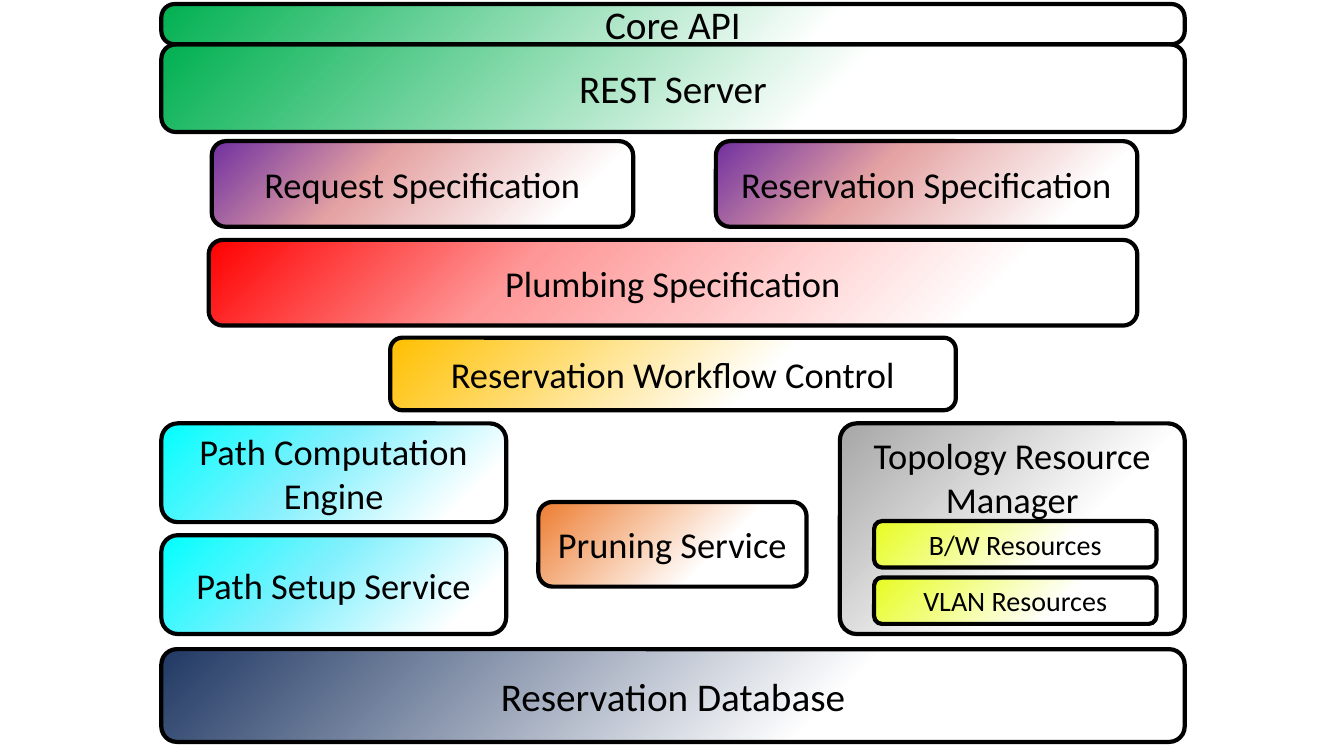
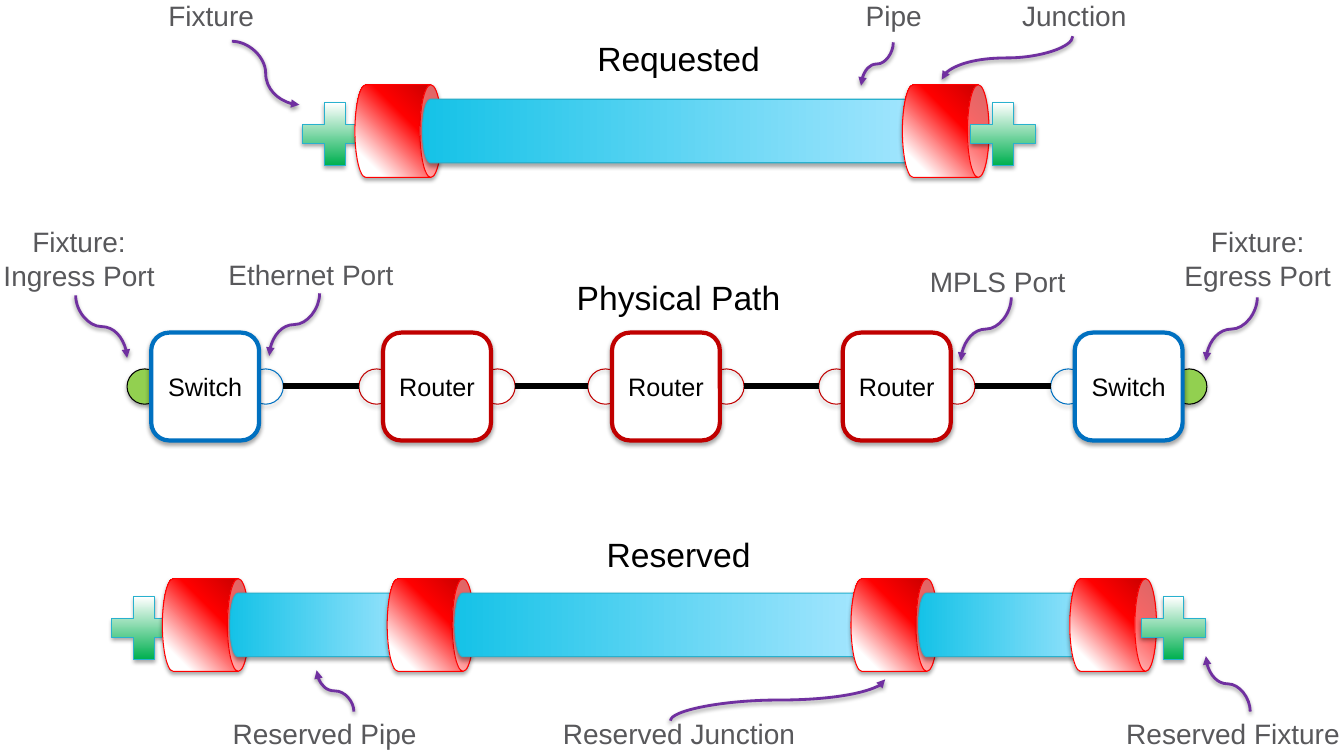
import pptx
import pptx.dml.color
import pptx.enum.shapes
import pptx.enum.text
import pptx.oxml
import pptx.oxml.ns
import pptx.util

Inches = pptx.util.Inches
SHAPE = pptx.enum.shapes.MSO_SHAPE
CONNECTOR = pptx.enum.shapes.MSO_CONNECTOR
ANCHOR = pptx.enum.text.MSO_ANCHOR
BLANK_LAYOUT = 6

COLORS = {
    "black": "000000", "white": "FFFFFF", "gray": "58585B", "silver": "A6A6A6",
    "green": "00B050", "lime": "92D050", "yellow": "E7FC20", "gold": "FFC000",
    "orange": "ED7D31", "red": "FF0000", "dark_red": "C00000", "pink": "FE9898",
    "rose": "E5A3A3", "purple": "7030A0", "navy": "203864", "blue": "0070C0",
    "cyan": "00FFFF", "pale_cyan": "82F0FD", "teal": "28B1CE",
    "aqua": "15C2E7", "sky": "A8E7FF",
}

# Gradients: (position in percent, colour) stops
JUNCTION_STOPS = [(0, "dark_red"), (38, "red"), (84, "white")]
PIPE_STOPS = [(0, "aqua"), (100, "sky")]
FIXTURE_STOPS = [(0, "green"), (100, "white")]
CYAN_STOPS = [(14, "white"), (56, "pale_cyan"), (100, "cyan")]
SPEC_STOPS = [(16, "white"), (62, "rose"), (100, "purple")]
PLUMBING_STOPS = [(17, "white"), (66, "pink"), (100, "red")]

# Path geometry
JUNCTION_LENGTH, JUNCTION_DIAMETER = 0.86, 0.92
PIPE_OFFSET, PIPE_DIAMETER = 0.67, 0.63
NODE_SIZE, NODE_TOP = 1.07, 3.3
PORT_SIZE, PORT_TOP = 0.35, 3.66
PORT_LEFT, PORT_RIGHT = -0.24, 0.96


def rgb(name):
    return pptx.dml.color.RGBColor.from_string(COLORS[name])


def fade(color, start=35):
    return [(0, "white"), (start, "white"), (100, color)]


def drawing_xml(tag, attributes="", content=""):
    namespace = pptx.oxml.ns.nsdecls("a")
    return pptx.oxml.parse_xml(f"<a:{tag} {namespace} {attributes}>{content}</a:{tag}>")


def color_xml(name, content=""):
    return f'<a:srgbClr val="{COLORS[name]}">{content}</a:srgbClr>'


def fill_gradient(shape, stops, angle):
    """Fill with colour stops; the angle runs counter-clockwise."""
    shape.fill.gradient()
    shape.fill.gradient_angle = angle
    stop_list = shape._element.spPr.find(".//" + pptx.oxml.ns.qn("a:gsLst"))
    for stop in list(stop_list):
        stop_list.remove(stop)
    for position, color in stops:
        stop_list.append(drawing_xml("gs", f'pos="{position * 1000}"', color_xml(color)))


def add_shadow(effects, alpha, distance):
    attributes = (f'blurRad="{pptx.util.Pt(3.1)}" dist="{pptx.util.Pt(distance)}" '
                  'dir="5400000" rotWithShape="0"')
    shade = color_xml("black", f'<a:alpha val="{alpha * 1000}"/>')
    effects.append(drawing_xml("outerShdw", attributes, shade))


def write_text(shape, text, anchor=ANCHOR.MIDDLE, **font_format):
    frame = shape.text_frame
    frame.word_wrap = True
    frame.vertical_anchor = anchor
    para = frame.paragraphs[0]
    para.alignment = pptx.enum.text.PP_ALIGN.CENTER
    span = para.add_run()
    span.text = text
    span.font.color.rgb = rgb(font_format.pop("color", "black"))
    for name, value in font_format.items():
        setattr(span.font, name, value)


def add_outlined(slide, kind, at, line, width=0.75, shadow=False):
    shape = slide.shapes.add_shape(kind, *(Inches(length) for length in at))
    shape.shadow.inherit = False
    if shadow:
        effects = shape._element.spPr.find(pptx.oxml.ns.qn("a:effectLst"))
        add_shadow(effects, 35, 1.8)
    shape.line.color.rgb = rgb(line)
    shape.line.width = pptx.util.Pt(width)
    return shape


# Layer diagram
def add_layer(slide, text, at, stops, size=26, anchor=ANCHOR.MIDDLE, corner=None):
    box = add_outlined(slide, SHAPE.ROUNDED_RECTANGLE, at, "black", 3)
    if corner is not None:
        box.adjustments[0] = corner
    fill_gradient(box, stops, 135)
    write_text(box, text, anchor, name="Calibri", size=pptx.util.Pt(size))


# Path diagram
def add_label(slide, text, at, size=20, color="gray"):
    box = slide.shapes.add_textbox(*(Inches(length) for length in at))
    write_text(box, text, ANCHOR.TOP, name="Arial", size=pptx.util.Pt(size), color=color)
    box.text_frame.auto_size = pptx.enum.text.MSO_AUTO_SIZE.SHAPE_TO_FIT_TEXT


def add_line(slide, kind, start, end, color, width):
    line = slide.shapes.add_connector(kind, *(Inches(length) for length in (*start, *end)))
    line.line.color.rgb = rgb(color)
    line.line.width = pptx.util.Pt(width)
    effects = drawing_xml("effectLst")
    line._element.spPr.append(effects)
    return line, effects


def add_pointer(slide, start, end, vertical=True):
    """Curved arrow; a vertical one is a horizontal curve given a quarter turn."""
    (x1, y1), (x2, y2) = start, end
    turn = 0
    if vertical:
        turn = 270 if (x2 - x1) * (y2 - y1) > 0 else 90
        sign = 1 if turn == 90 else -1
        middle_x, middle_y = (x1 + x2) / 2, (y1 + y2) / 2
        half_x, half_y = sign * (x2 - x1) / 2, sign * (y2 - y1) / 2
        start = middle_x - half_y, middle_y + half_x
        end = middle_x + half_y, middle_y - half_x
    arrow, effects = add_line(slide, CONNECTOR.CURVE, start, end, "purple", 2)
    add_shadow(effects, 38, 1.6)
    arrow.line._get_or_add_ln().append(drawing_xml("tailEnd", 'type="triangle"'))
    if turn:
        frame = arrow._element.spPr.find(pptx.oxml.ns.qn("a:xfrm"))
        frame.set("rot", str(turn * 60000))


def add_can(slide, left, middle, length, diameter, stops, angle, line):
    """Can lying on its side, placed by its visible left end and axis."""
    at = (left + (length - diameter) / 2, middle - length / 2, diameter, length)
    can = add_outlined(slide, SHAPE.CAN, at, line, shadow=True)
    can.rotation = 90
    fill_gradient(can, stops, angle)


def add_fixture(slide, left, middle):
    plus = add_outlined(slide, SHAPE.CROSS, (left, middle - 0.28, 0.64, 0.62), "teal", shadow=True)
    plus.adjustments[0] = 0.35
    fill_gradient(plus, FIXTURE_STOPS, 90)


def add_pipeline(slide, middle, fixtures, junctions, pipes):
    add_fixture(slide, fixtures[0], middle)
    for index, left in enumerate(junctions):
        add_can(slide, left, middle, JUNCTION_LENGTH, JUNCTION_DIAMETER,
                JUNCTION_STOPS, 315, "red")
        if index < len(pipes):
            add_can(slide, left + PIPE_OFFSET, middle, pipes[index], PIPE_DIAMETER,
                    PIPE_STOPS, 90, "teal")
    add_fixture(slide, fixtures[1], middle)


def add_port(slide, left, color, edge=False):
    port = add_outlined(slide, SHAPE.OVAL, (left, PORT_TOP, PORT_SIZE, PORT_SIZE),
                        "black" if edge else color, shadow=True)
    if edge:
        port.fill.solid()
        port.fill.fore_color.rgb = rgb("lime")
    else:
        port.fill.background()


def add_physical_path(slide, nodes):
    last = len(nodes) - 1
    for index, (text, left, color) in enumerate(nodes):
        add_port(slide, left + PORT_LEFT, color, edge=index == 0)
        add_port(slide, left + PORT_RIGHT, color, edge=index == last)
        node = add_outlined(slide, SHAPE.ROUNDED_RECTANGLE,
                            (left, NODE_TOP, NODE_SIZE, NODE_SIZE), color, 3, shadow=True)
        node.fill.solid()
        node.fill.fore_color.rgb = rgb("white")
        write_text(node, text, name="Arial", size=pptx.util.Pt(18))
    # Links between facing ports
    for (_, left, _), (_, right, _) in zip(nodes, nodes[1:]):
        add_line(slide, CONNECTOR.STRAIGHT, (left + PORT_RIGHT + PORT_SIZE, 3.83),
                 (right + PORT_LEFT, 3.83), "black", 4.5)


def build_layers(slide):
    add_layer(slide, "REST Server", (1.6, 0.44, 10.15, 0.87), fade("green"), 28)
    add_layer(slide, "Core API", (1.6, 0.04, 10.15, 0.4), fade("green"), 28, corner=0.33)
    for text, left in (("Request Specification", 2.1), ("Reservation Specification", 7.1)):
        add_layer(slide, text, (left, 1.4, 4.18, 0.85), SPEC_STOPS)
    add_layer(slide, "Plumbing Specification", (2.07, 2.38, 9.21, 0.85), PLUMBING_STOPS)
    add_layer(slide, "Reservation Workflow Control", (3.87, 3.35, 5.61, 0.72), fade("gold"))
    for text, top in (("Path Computation Engine", 4.2), ("Path Setup Service", 5.31)):
        add_layer(slide, text, (1.6, top, 3.42, 0.98), CYAN_STOPS)
    add_layer(slide, "Pruning Service", (5.34, 4.98, 2.66, 0.84), fade("orange"))
    add_layer(slide, "Topology Resource Manager", (8.33, 4.2, 3.42, 2.09),
              fade("silver", 37), anchor=ANCHOR.TOP, corner=0.08)
    for text, top in (("B/W Resources", 5.17), ("VLAN Resources", 5.73)):
        add_layer(slide, text, (8.67, top, 2.8, 0.46), fade("yellow"), 20)
    add_layer(slide, "Reservation Database", (1.6, 6.44, 10.15, 0.92), fade("navy"), 28)


def build_paths(slide):
    add_pipeline(slide, 1.3, (3, 9.63), (3.52, 8.95), (5.12,))
    add_physical_path(slide, [
        ("Switch", 1.5, "blue"), ("Router", 3.8, "dark_red"), ("Router", 6.07, "dark_red"),
        ("Router", 8.36, "dark_red"), ("Switch", 10.66, "blue")])
    add_pipeline(slide, 6.2, (1.11, 11.32), (1.61, 3.84, 8.44, 10.61), (1.92, 4.16, 1.92))

    # Headings
    for text, top in (("Requested", 0.33), ("Physical Path", 2.7), ("Reserved", 5.25)):
        add_label(slide, text, (5.55, top, 2.36, 0.5), 24, "black")

    # Callouts: text, box, pointer start and end
    callouts = [
        ("Fixture", (1.13, -0.06, 1.93, 0.44), (2.3, 0.41), (2.97, 1.04)),
        ("Pipe", (7.9, -0.06, 1.93, 0.44), (8.86, 0.42), (8.54, 0.85)),
        ("Junction", (9.69, -0.06, 1.93, 0.44), (10.64, 0.36), (9.34, 0.79)),
        ("Fixture: Ingress Port", (-0.18, 2.18, 1.93, 0.77), (0.75, 2.93), (1.26, 3.55)),
        ("Ethernet Port", (2.12, 2.51, 1.93, 0.44), (3.17, 2.91), (2.67, 3.53)),
        ("MPLS Port", (8.93, 2.57, 1.93, 0.44), (10.03, 2.95), (9.53, 3.58)),
        ("Fixture: Egress Port", (11.51, 2.18, 1.93, 0.77), (12.47, 2.95), (11.96, 3.58)),
        ("Reserved Pipe", (2.2, 7.06, 2.04, 0.44), (3.51, 7.06), (3.14, 6.65)),
        ("Reserved Junction", (5.43, 7.06, 2.61, 0.44), (6.65, 7.15), (8.78, 6.74)),
        ("Reserved Fixture", (11.03, 7.06, 2.4, 0.44), (12.4, 7.06), (11.96, 6.51)),
    ]
    for text, at, start, end in callouts:
        add_label(slide, text, at)
        add_pointer(slide, start, end, vertical=text != "Fixture")


def main():
    deck = pptx.Presentation()
    deck.slide_width, deck.slide_height = Inches(13.33), Inches(7.5)
    for build in (build_layers, build_paths):
        build(deck.slides.add_slide(deck.slide_layouts[BLANK_LAYOUT]))
    deck.save("out.pptx")


if __name__ == "__main__":
    main()
